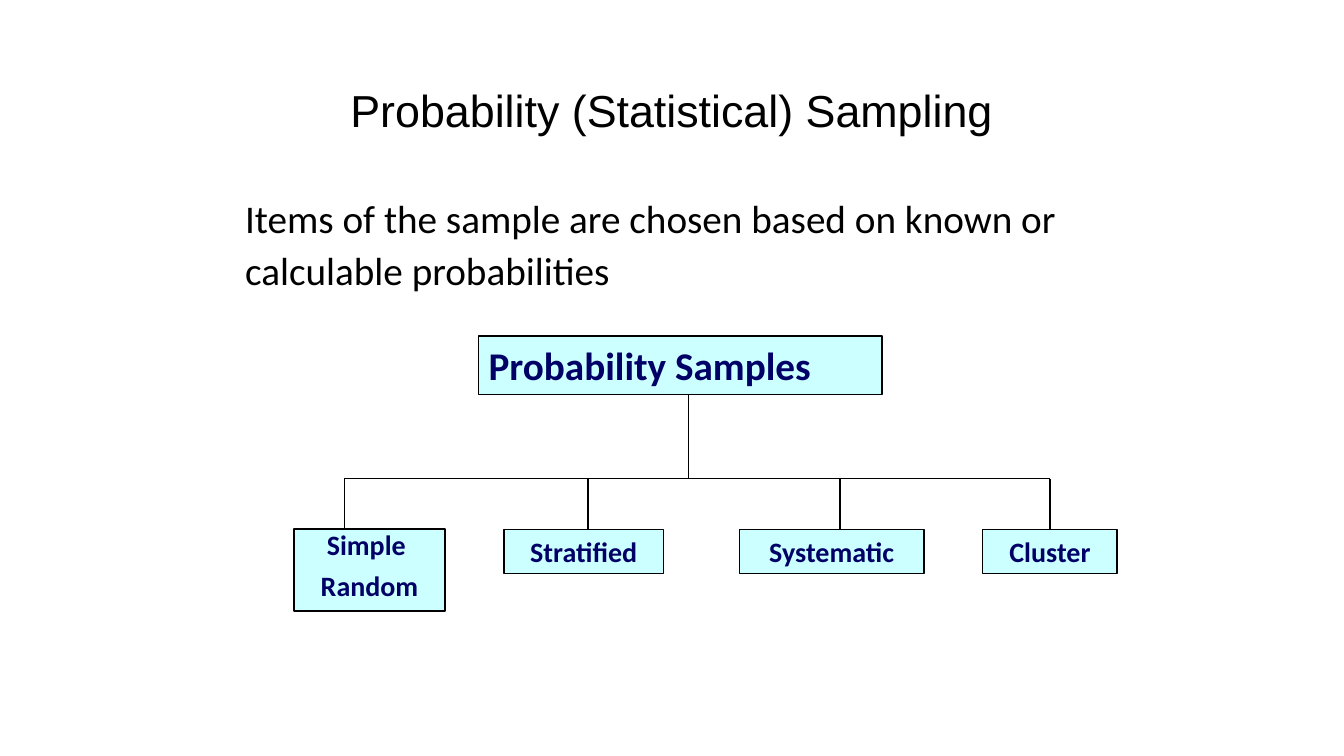
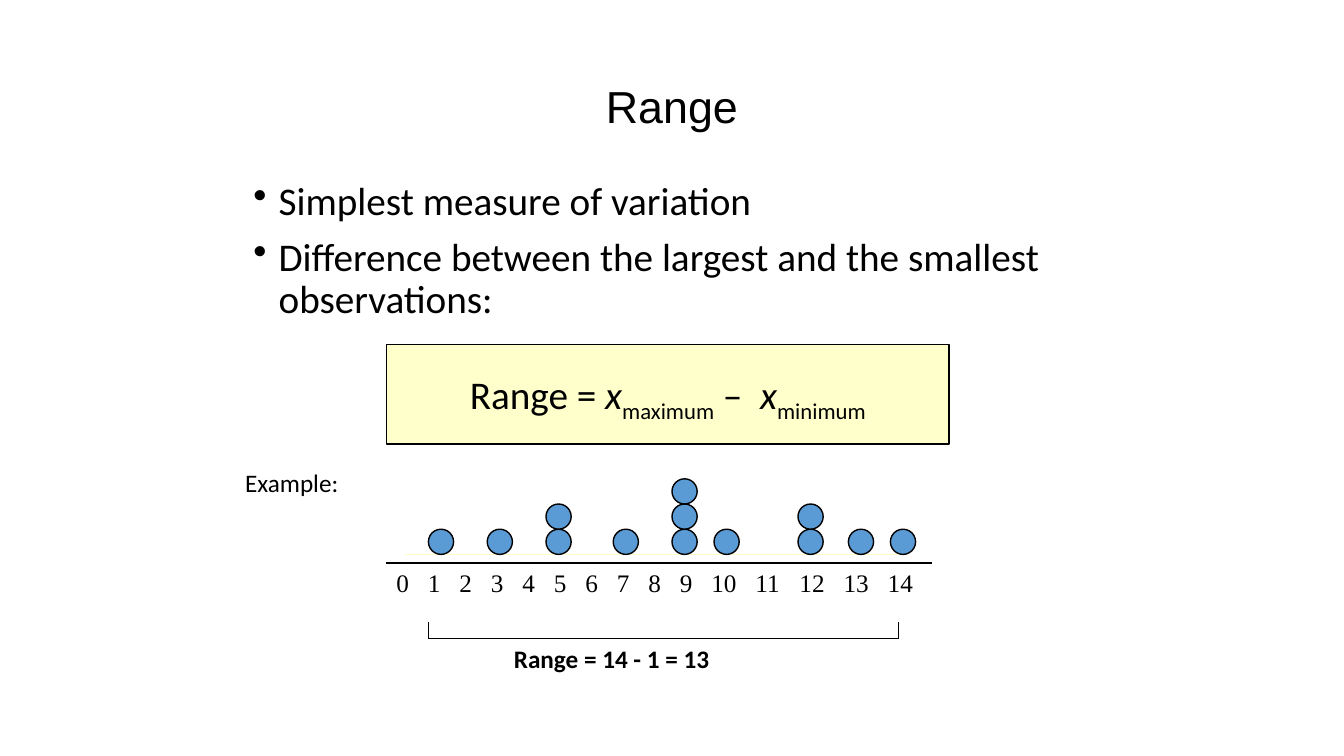
from dataclasses import dataclass
from itertools import accumulate
from typing import NamedTuple, Optional

from lxml import etree
from pptx import Presentation
from pptx import util as u
from pptx.dml.color import RGBColor
from pptx.enum import shapes, text
from pptx.oxml import ns

PX = 9525  # EMU in one px, 96 px to the inch
COLORS = {
    "ink": "000000",
    "navy": "000066",
    "aqua": "CCFFFF",
    "cream": "FFFFCC",
    "dot": "5B9BD5",
}
LEFT, CENTER = text.PP_ALIGN.LEFT, text.PP_ALIGN.CENTER
TOP, MIDDLE = text.MSO_ANCHOR.TOP, text.MSO_ANCHOR.MIDDLE


class Box(NamedTuple):
    left: int
    top: int
    width: int
    height: int

    def emu(self) -> list[int]:
        return [side * PX for side in self]


class Run(NamedTuple):
    words: str
    italic: bool = False
    subscript: bool = False


@dataclass(frozen=True)
class Style:
    size: int
    font: str = "Calibri"
    color: str = "ink"
    bold: bool = False
    align: text.PP_ALIGN = LEFT
    anchor: text.MSO_ANCHOR = TOP
    line_spacing: float = 1.0
    gap: int = 0  # points between paragraphs
    bullet: str = ""


@dataclass(frozen=True)
class Branch:
    """A kind of sample, hung from the tree's bar at stem."""
    lines: list[str]
    box: Box
    stem: int
    line_spacing: float = 1.0


class DotStack(NamedTuple):
    left: int
    count: int


TITLE = Style(32, "Arial", align=CENTER, anchor=MIDDLE, line_spacing=0.9)
INTRO = Style(28, line_spacing=1.1)
BULLETS = Style(28, line_spacing=0.9, gap=10, bullet="•")
ROOT = Style(28, color="navy", bold=True)
FORMULA = Style(28, align=CENTER, line_spacing=1.4)
SCALE = Style(18, "Times New Roman")
EXAMPLE = Style(18)
RESULT = Style(18, bold=True)

BAR_Y = 456
BRANCH_TOP = 504
BRANCHES = [
    Branch(["Simple ", "Random"], Box(280, BRANCH_TOP, 144, 78), 328, 0.8),
    Branch(["Stratified"], Box(480, BRANCH_TOP, 152, 42), 560),
    Branch(["Systematic"], Box(704, BRANCH_TOP, 176, 42), 800),
    Branch(["Cluster"], Box(936, BRANCH_TOP, 128, 42), 1000),
]

DOT = 24
DOT_FLOOR = 528
STACKS = [
    DotStack(408, 1), DotStack(464, 1), DotStack(520, 2),
    DotStack(584, 1), DotStack(640, 3), DotStack(680, 1),
    DotStack(760, 2), DotStack(808, 1), DotStack(848, 1),
]


def rgb(name: str) -> RGBColor:
    return RGBColor.from_string(COLORS[name])


def write(frame, paragraphs: list[list[Run]], style: Style) -> None:
    frame.word_wrap = True
    frame.vertical_anchor = style.anchor
    for index, runs in enumerate(paragraphs):
        paragraph = frame.add_paragraph() if index else frame.paragraphs[0]
        paragraph.alignment = style.align
        paragraph.line_spacing = style.line_spacing
        paragraph.space_before = u.Pt(style.gap if index else 0)
        if style.bullet:
            properties = paragraph._p.get_or_add_pPr()
            properties.set("marL", str(24 * PX))
            properties.set("indent", str(-24 * PX))
            etree.SubElement(properties, ns.qn("a:buChar"), char=style.bullet)
        for piece in runs:
            run = paragraph.add_run()
            run.text = piece.words
            run.font.name = style.font
            run.font.size = u.Pt(style.size)
            run.font.bold = style.bold
            run.font.italic = piece.italic
            run.font.color.rgb = rgb(style.color)
            if piece.subscript:
                run._r.get_or_add_rPr().set("baseline", "-25000")


def plain(*lines: str) -> list[list[Run]]:
    return [[Run(line)] for line in lines]


def add_text(slide, box: Box, paragraphs: list[list[Run]], style: Style):
    area = slide.shapes.add_textbox(*box.emu())
    write(area.text_frame, paragraphs, style)
    return area


def add_outlined(slide, preset: shapes.MSO_SHAPE, box: Box, fill: str):
    outlined = slide.shapes.add_shape(preset, *box.emu())
    outlined.shadow.inherit = False
    outlined.fill.solid()
    outlined.fill.fore_color.rgb = rgb(fill)
    outlined.line.color.rgb = rgb("ink")
    outlined.line.width = u.Pt(1)
    return outlined


def add_panel(slide, box: Box, fill: str, paragraphs: list[list[Run]], style: Style):
    panel = add_outlined(slide, shapes.MSO_SHAPE.RECTANGLE, box, fill)
    write(panel.text_frame, paragraphs, style)
    return panel


def add_line(slide, start: tuple[int, int], end: tuple[int, int],
             color: str = "ink", width: float = 1, target: Optional[object] = None):
    """Draw a straight line, joined to the top of target if one is given."""
    ends = [value * PX for value in (*start, *end)]
    line = slide.shapes.add_connector(shapes.MSO_CONNECTOR.STRAIGHT, *ends)
    line.line.color.rgb = rgb(color)
    line.line.width = u.Pt(width)
    etree.SubElement(line._element.spPr, ns.qn("a:effectLst"))
    if target is not None:
        line.end_connect(target, 0)


def add_sampling_slide(deck) -> None:
    slide = deck.slides.add_slide(deck.slide_layouts[6])
    add_text(slide, Box(88, 38, 1104, 139), plain("Probability (Statistical) Sampling"), TITLE)
    add_text(slide, Box(224, 176, 816, 432), plain(
        "Items of the sample are chosen based on known or calculable probabilities"), INTRO)

    root = Box(456, 320, 384, 56)
    add_panel(slide, root, "aqua", plain("Probability Samples"), ROOT)
    add_line(slide, (656, root.top + root.height), (656, BAR_Y))
    add_line(slide, (BRANCHES[0].stem, BAR_Y), (BRANCHES[-1].stem, BAR_Y))
    for branch in BRANCHES:
        style = Style(20, color="navy", bold=True, align=CENTER,
                      line_spacing=branch.line_spacing, gap=10)
        panel = add_panel(slide, branch.box, "aqua", plain(*branch.lines), style)
        centered = branch.stem == branch.box.left + branch.box.width // 2
        add_line(slide, (branch.stem, BAR_Y), (branch.stem, BRANCH_TOP),
                 target=panel if centered else None)


def add_number_scale(slide) -> None:
    """Write 0 to 14 on tab stops, wider apart after the first two-digit number."""
    scale = add_text(slide, Box(368, 536, 593, 38),
                     plain("\t".join(str(number) for number in range(15))), SCALE)
    properties = scale.text_frame.paragraphs[0]._p.get_or_add_pPr()
    stops = etree.SubElement(properties, ns.qn("a:tabLst"))
    for stop in accumulate([30] * 10 + [42] * 4):
        etree.SubElement(stops, ns.qn("a:tab"), pos=str(stop * PX), algn="l")


def add_range_slide(deck) -> None:
    slide = deck.slides.add_slide(deck.slide_layouts[6])
    add_text(slide, Box(232, 64, 816, 80), plain("Range"), TITLE)
    add_text(slide, Box(232, 168, 816, 472), plain(
        "Simplest measure of variation",
        "Difference between the largest and the smallest observations:"), BULLETS)
    add_panel(slide, Box(368, 328, 536, 95), "cream", [[
        Run("Range = "), Run("x", italic=True), Run("maximum", subscript=True),
        Run(" –  "), Run("x", italic=True), Run("minimum", subscript=True),
    ]], FORMULA)

    for start, end in ((386, 738), (722, 858)):
        add_line(slide, (start, DOT_FLOOR), (end, DOT_FLOOR), "cream")
    for stack in STACKS:
        for level in range(1, stack.count + 1):
            add_outlined(slide, shapes.MSO_SHAPE.OVAL,
                         Box(stack.left, DOT_FLOOR - level * DOT, DOT, DOT), "dot")
    add_line(slide, (368, 536), (888, 536), width=1.5)
    add_number_scale(slide)

    first, last, bracket_y = 408, 856, 608
    add_line(slide, (first, bracket_y), (last, bracket_y), width=0.75)
    for end in (first, last):
        add_line(slide, (end, bracket_y), (end, bracket_y - 16), width=0.75)
    add_text(slide, Box(480, bracket_y, 432, 38), plain("Range = 14 - 1 = 13"), RESULT)
    add_text(slide, Box(224, 440, 432, 38), plain("Example:"), EXAMPLE)


def main() -> None:
    deck = Presentation()
    deck.slide_width = 1280 * PX
    deck.slide_height = 720 * PX
    add_sampling_slide(deck)
    add_range_slide(deck)
    deck.save("out.pptx")


if __name__ == "__main__":
    main()
